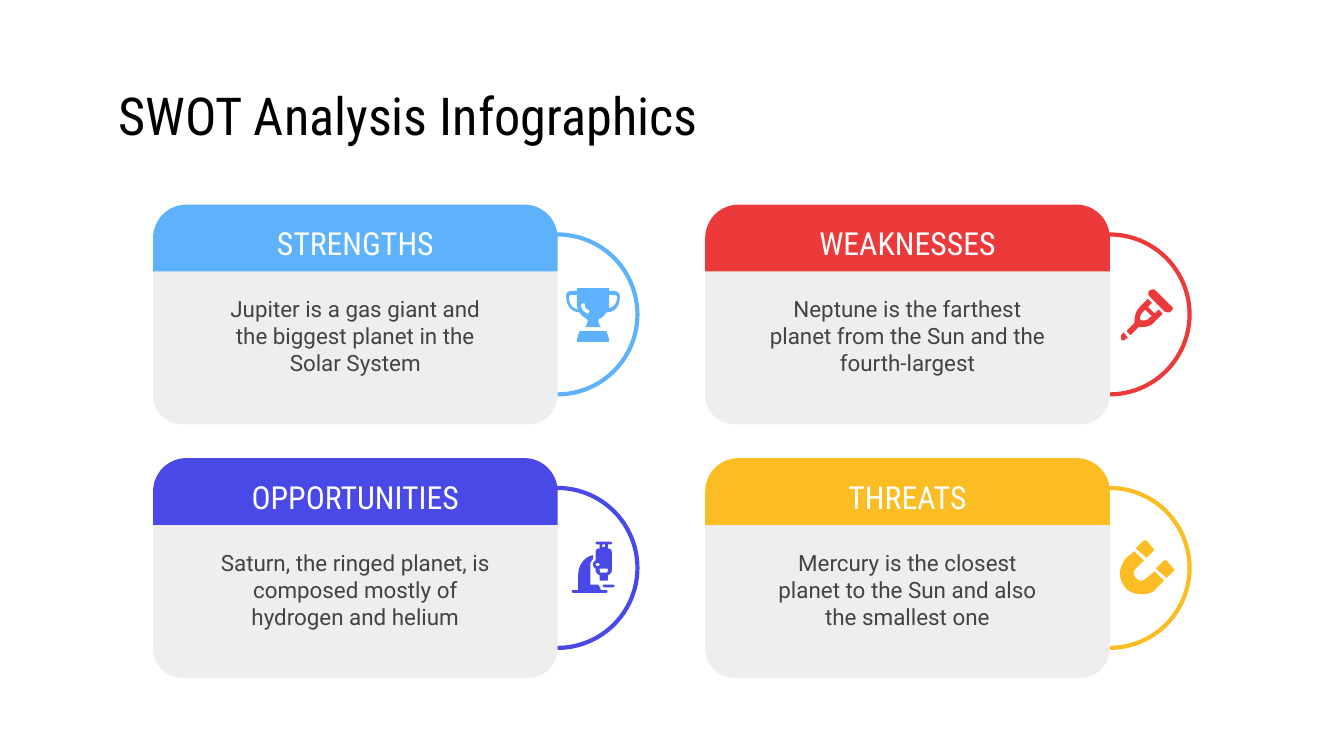
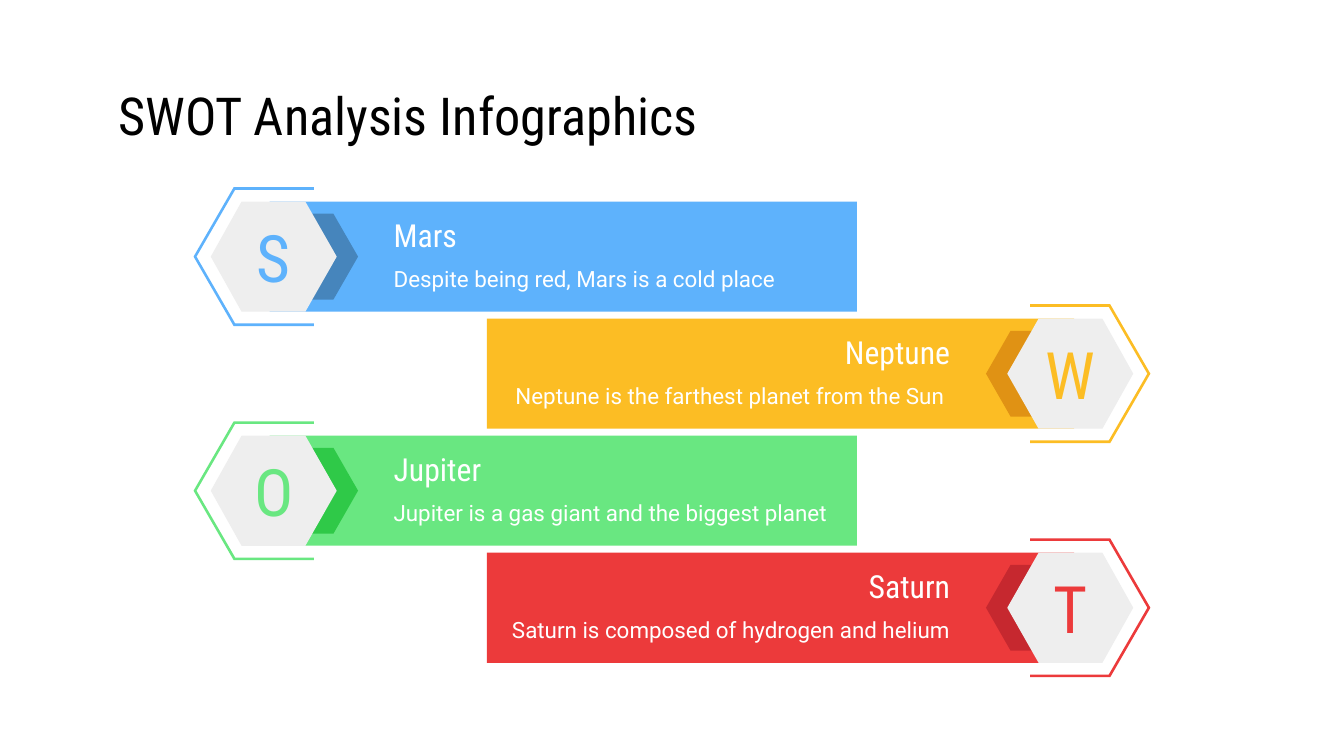
from pptx import Presentation
from pptx import util as u
from pptx.dml.color import RGBColor
from pptx.enum import shapes, text

COLORS = {
    "black": "000000", "white": "FFFFFF", "panel": "EEEEEE", "body": "434343",
    "blue": "5EB2FC", "blue_dark": "4685BC", "red": "EC3A3B", "red_dark": "C6282F",
    "yellow": "FCBD24", "yellow_dark": "E09214", "green": "69E781", "green_dark": "2FC948",
    "indigo": "4949E7",
}
HEADING_FONT = "Roboto Condensed"
BODY_FONT = "Roboto"
TITLE = "SWOT Analysis Infographics"
SLIDE_WIDTH, SLIDE_HEIGHT = 720, 405
INSET = 7.2
LEFT, CENTER, RIGHT = text.PP_ALIGN.LEFT, text.PP_ALIGN.CENTER, text.PP_ALIGN.RIGHT

TROPHY = [
    [
        [(9, 0), (8, 0, 8, 0, 8, 1), (8, 2), (4, 2), (1, 2, 0, 4, 0, 6), (0, 14, 5, 18, 10, 18),
         (13, 23, 16, 22, 16, 24), (16, 26, 15, 28, 14, 29), (26, 29), (25, 28, 24, 26, 24, 24),
         (24, 22, 27, 23, 30, 18), (36, 18, 40, 14, 40, 6), (40, 4, 38, 2, 36, 2), (32, 2),
         (32, 1), (32, 0, 32, 0, 31, 0)],
        [(36, 5), (37, 5, 38, 6, 38, 6), (38, 12, 35, 14, 32, 15), (32, 14, 32, 13, 32, 12), (32, 5)],
        [(8, 5), (8, 12), (8, 13, 8, 14, 9, 16), (5, 15, 2, 12, 2, 6), (2, 6, 3, 5, 4, 5)],
        [(13, 11), (14, 11, 14, 12, 14, 13), (14, 14, 15, 16, 17, 16), (17, 17, 18, 17, 17, 18),
         (17, 19, 16, 19, 16, 19), (13, 18, 11, 15, 11, 13), (11, 12, 12, 11, 13, 11)],
    ],
    [[(10, 32), (8, 38), (8, 39, 8, 40, 9, 40), (31, 40), (32, 40, 32, 39, 32, 38), (30, 32)]],
]
CRUTCH = [
    [[(24, 0), (23, 0, 22, 0, 21, 1), (20, 2, 20, 4, 21, 5), (32, 16), (33, 17, 34, 17, 35, 17),
      (36, 17, 37, 17, 37, 16), (39, 15, 39, 13, 37, 12), (26, 1), (25, 0, 25, 0, 24, 0)]],
    [[(2, 32), (0, 34), (0, 35, 0, 35, 0, 36), (0, 37, 0, 37, 0, 37), (1, 38, 1, 38, 2, 38),
      (3, 38, 3, 38, 3, 37), (5, 36)]],
    [
        [(20, 7), (14, 13), (11, 16, 10, 20, 10, 24), (10, 25), (4, 31), (7, 34), (13, 28), (14, 28),
         (15, 28, 15, 28, 16, 28), (19, 28, 23, 27, 25, 24), (31, 18), (28, 15), (25, 18),
         (20, 13), (23, 10)],
        [(18, 15), (23, 20), (21, 21), (20, 23, 18, 23, 16, 23), (15, 23), (14, 22),
         (14, 20, 15, 18, 16, 17)],
    ],
]
MICROSCOPE = [
    [
        [(19, 0), (19, 0, 18, 0, 18, 1), (18, 2, 19, 2, 19, 2), (21, 2), (21, 5), (19, 5, 18, 6, 18, 8),
         (18, 14), (17, 14, 16, 16, 16, 17), (16, 18, 17, 20, 18, 20), (18, 21),
         (18, 23, 19, 24, 21, 25), (21, 28), (21, 29, 21, 29, 22, 29), (26, 29),
         (27, 29, 27, 29, 27, 28), (27, 25), (29, 24, 30, 23, 30, 21), (30, 8),
         (30, 6, 29, 5, 27, 5), (27, 2), (29, 2), (29, 2, 30, 2, 30, 1), (30, 0, 29, 0, 29, 0)],
        [(25, 2), (25, 4), (23, 4), (23, 2)],
        [(19, 16), (20, 16, 21, 16, 21, 17), (21, 18, 20, 18, 19, 18), (19, 18, 18, 18, 18, 17),
         (18, 16, 19, 16, 19, 16)],
        [(27, 20), (27, 21), (27, 22, 27, 23, 26, 23), (22, 23), (21, 23, 21, 22, 21, 21), (21, 20)],
    ],
    [[(23, 32), (24, 34), (31, 34), (31, 34, 32, 33, 32, 33), (32, 32, 31, 32, 31, 32)]],
    [[(16, 10), (10, 11, 5, 17, 5, 24), (5, 36), (1, 36), (0, 36, 0, 38, 1, 38), (26, 38),
      (27, 38, 27, 36, 26, 36), (22, 36), (20, 32), (20, 32, 20, 32, 19, 32), (14, 32), (14, 21),
      (14, 21, 14, 20, 14, 20), (14, 19, 14, 18, 14, 17), (14, 15, 15, 14, 16, 13)]],
]
MAGNET_TIP = [(20, 0), (20, 0, 19, 0, 19, 0), (13, 6), (21, 13), (26, 8), (27, 7, 27, 6, 26, 6),
              (21, 0), (21, 0, 20, 0, 20, 0)]
MAGNET = [
    [MAGNET_TIP],
    [[tuple(value + 15 for value in node) for node in MAGNET_TIP]],
    [[(12, 8), (6, 13), (4, 15, 3, 18, 2, 20), (0, 25, 2, 32, 6, 36), (9, 39, 13, 40, 17, 40),
      (18, 40), (22, 40, 26, 39, 28, 36), (34, 30), (27, 23), (21, 28), (20, 29, 18, 30, 17, 30),
      (16, 30, 14, 29, 13, 28), (11, 26, 11, 23, 13, 21), (19, 15)]],
]
ICON_UNIT = 0.72

CARDS = [
    ("STRENGTHS", "Jupiter is a gas giant and the biggest planet in the Solar System",
     "blue", TROPHY, (47.5, 28.8)),
    ("WEAKNESSES", "Neptune is the farthest planet from the Sun and the fourth-largest",
     "red", CRUTCH, (49, 29.5)),
    ("OPPORTUNITIES", "Saturn, the ringed planet, is composed mostly of hydrogen and helium",
     "indigo", MICROSCOPE, (50.4, 28.8)),
    ("THREATS", "Mercury is the closest planet to the Sun and also the smallest one",
     "yellow", MAGNET, (47.5, 28.1)),
]
BANNERS = [
    ("S", "Mars", "Despite being red, Mars is a cold place", "blue"),
    ("W", "Neptune", "Neptune is the farthest planet from the Sun ", "yellow"),
    ("O", "Jupiter", "Jupiter is a gas giant and the biggest planet", "green"),
    ("T", "Saturn", "Saturn is composed of hydrogen and helium", "red"),
]
HEXAGON = [(129.4, 0), (112.9, 29.5), (129.4, 59), (163.6, 59), (180.4, 29.5), (163.6, 0)]
ARROW = [(162.7, 6.5), (162.7, 52.5), (178.6, 52.5), (191.8, 29.5), (178.6, 6.5)]
BRACKET = [(168.2, -7.7), (125.2, -7.7), (103.7, 29.5), (125.2, 66.7), (168.2, 66.7),
           (168.2, 65.3), (126, 65.3), (105.3, 29.5), (126, -6.3), (168.2, -6.3)]


def color(name):
    return RGBColor.from_string(COLORS[name])


def flatten(contour, steps=6):
    points = []
    for node in contour:
        if len(node) == 2:
            points.append(node)
            continue
        curve = [points[-1], node[:2], node[2:4], node[4:]]
        for step in range(1, steps + 1):
            t = step / steps
            weights = ((1 - t) ** 3, 3 * t * (1 - t) ** 2, 3 * t ** 2 * (1 - t), t ** 3)
            points.append(tuple(sum(w * p[axis] for w, p in zip(weights, curve)) for axis in (0, 1)))
    return points


class Deck:
    def __init__(self):
        self.presentation = Presentation()
        self.presentation.slide_width = u.Pt(SLIDE_WIDTH)
        self.presentation.slide_height = u.Pt(SLIDE_HEIGHT)
        self.slide = None

    def new_slide(self, title):
        self.slide = self.presentation.slides.add_slide(self.presentation.slide_layouts[5])
        shape = self.slide.shapes.title
        shape.left, shape.top, shape.width, shape.height = map(u.Pt, (56.2, 42.5, 608.4, 38.2))
        self.fill_text(shape, title, 28, HEADING_FONT, "black", LEFT)

    def fill_text(self, shape, content, size, font, ink, align, side_inset=INSET):
        frame = shape.text_frame
        frame.word_wrap = True
        frame.auto_size = text.MSO_AUTO_SIZE.NONE
        frame.vertical_anchor = text.MSO_ANCHOR.MIDDLE
        frame.margin_left = frame.margin_right = u.Pt(side_inset)
        frame.margin_top = frame.margin_bottom = u.Pt(INSET)
        paragraph = frame.paragraphs[0]
        paragraph.alignment = align
        run = paragraph.add_run()
        run.text = content
        run.font.size = u.Pt(size)
        run.font.name = font
        run.font.bold = False
        run.font.color.rgb = color(ink)

    def paint(self, shape, fill, line=None):
        shape.shadow.inherit = False
        shape.fill.solid()
        shape.fill.fore_color.rgb = color(fill)
        if line:
            shape.line.color.rgb = color(line)
            shape.line.width = u.Pt(2.25)
        else:
            shape.line.fill.background()
        return shape

    def preset(self, kind, box, fill, line=None, adjustments=()):
        shape = self.slide.shapes.add_shape(kind, *map(u.Pt, box))
        for index, value in enumerate(adjustments):
            shape.adjustments[index] = value
        return self.paint(shape, fill, line)

    def outline(self, contours, fill):
        builder = None
        for contour in contours:
            points = [(u.Pt(x), u.Pt(y)) for x, y in contour]
            if builder is None:
                builder = self.slide.shapes.build_freeform(*points[0])
            else:
                builder.move_to(*points[0])
            builder.add_line_segments(points[1:], close=True)
        return self.paint(builder.convert_to_shape(), fill)

    def label(self, box, content, size, font, ink, align):
        shape = self.slide.shapes.add_textbox(*map(u.Pt, box))
        self.fill_text(shape, content, size, font, ink, align)

    def icon(self, parts, left, top, fill):
        for contours in parts:
            self.outline([[(left + x * ICON_UNIT, top + y * ICON_UNIT) for x, y in flatten(contour)]
                          for contour in contours], fill)

    def card(self, left, top, heading, body, accent, icon, icon_offset):
        kinds = shapes.MSO_SHAPE
        ring_left, ring_top = left + 173.8, top + 16
        self.preset(kinds.OVAL, (ring_left, ring_top, 85.7, 85.7), "white", accent)
        panel = self.preset(kinds.ROUNDED_RECTANGLE, (left, top + 22.8, 216.8, 95), "panel",
                            adjustments=(0.167,))
        self.fill_text(panel, body, 12, BODY_FONT, "body", CENTER, side_inset=28.8)
        header = self.preset(kinds.ROUND_2_SAME_RECTANGLE, (left, top, 216.8, 35.8), accent,
                             adjustments=(0.5, 0))
        self.fill_text(header, heading, 17, HEADING_FONT, "white", CENTER)
        self.icon(icon, ring_left + icon_offset[0], ring_top + icon_offset[1], accent)

    def banner(self, top, mirrored, letter, heading, body, accent):
        def place(points):
            return [[(SLIDE_WIDTH - x if mirrored else x, top + y) for x, y in points]]

        def start(left, width):
            return SLIDE_WIDTH - left - width if mirrored else left

        align = RIGHT if mirrored else LEFT
        self.preset(shapes.MSO_SHAPE.RECTANGLE, (start(144.5, 314.6), top, 314.6, 59), accent)
        self.outline(place(ARROW), accent + "_dark")
        self.outline(place(BRACKET), accent)
        badge = self.outline(place(HEXAGON), "panel")
        self.fill_text(badge, letter, 35, HEADING_FONT, accent, CENTER)
        text_left = start(203.8, 254.9)
        self.label((text_left, top + 4.3, 254.9, 26.6), heading, 17, HEADING_FONT, "white", align)
        self.label((text_left, top + 28, 254.9, 26.6), body, 12, BODY_FONT, "white", align)


def main():
    deck = Deck()
    deck.new_slide(TITLE)
    for index, card in enumerate(CARDS):
        row, column = divmod(index, 2)
        deck.card(82 + column * 295.8, 109.6 + row * 135.8, *card)

    deck.new_slide(TITLE)
    for index, banner in enumerate(BANNERS):
        deck.banner(108 + index * 62.7, index % 2 == 1, *banner)

    deck.presentation.save("out.pptx")


if __name__ == "__main__":
    main()
